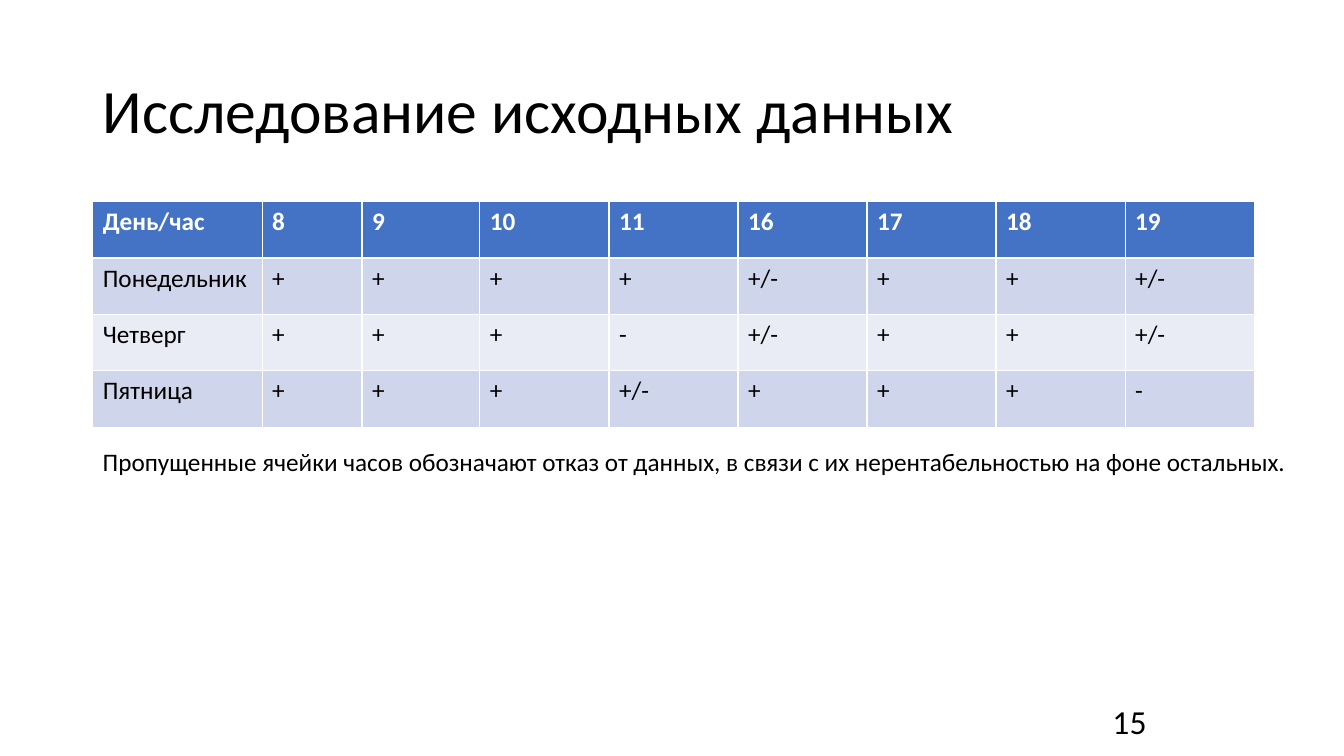
from dataclasses import dataclass

from pptx import Presentation
from pptx.dml.color import RGBColor
from pptx.enum.text import MSO_ANCHOR, PP_ALIGN
from pptx.slide import Slide
from pptx.text.text import TextFrame
from pptx.util import Inches, Pt

LEFT, RIGHT = PP_ALIGN.LEFT, PP_ALIGN.RIGHT
TOP, MIDDLE = MSO_ANCHOR.TOP, MSO_ANCHOR.MIDDLE

SLIDE_WIDTH, SLIDE_HEIGHT = 13.33, 7.5
MARGIN = 0.92
CONTENT_WIDTH = SLIDE_WIDTH - 2 * MARGIN
TITLE_ONLY = 5
FONT = "Calibri"
COLORS = {
    "text": "000000",
    "header_text": "FFFFFF",
    "header": "4472C4",
    "odd_row": "CFD5EA",
    "even_row": "E9EBF5",
}

TABLE_TOP, ROW_HEIGHT = 2, 0.56
HOUR_WIDTH = 1.28
COLUMN_WIDTHS = [1.68, 0.99, 1.17] + [HOUR_WIDTH] * 6


@dataclass(frozen=True)
class Box:
    left: float
    top: float
    width: float
    height: float

    def emu(self) -> tuple[int, ...]:
        return tuple(Inches(n) for n in (self.left, self.top, self.width, self.height))


@dataclass(frozen=True)
class ScheduleRow:
    day: str
    marks: str
    fill: str
    color: str = "text"
    bold: bool = False

    def cells(self) -> list[str]:
        return [self.day, *self.marks.split()]


SCHEDULE = [
    ScheduleRow("День/час", "8 9 10 11 16 17 18 19", "header", "header_text", True),
    ScheduleRow("Понедельник", "+ + + + +/- + + +/-", "odd_row"),
    ScheduleRow("Четверг", "+ + + - +/- + + +/-", "even_row"),
    ScheduleRow("Пятница", "+ + + +/- + + + -", "odd_row"),
]


def rgb(color: str) -> RGBColor:
    return RGBColor.from_string(COLORS[color])


def write_text(frame: TextFrame, text: str, *, size: float = 18, color: str = "text",
               bold: bool = False, align: PP_ALIGN = LEFT, anchor: MSO_ANCHOR = TOP,
               line_spacing: float = 1.0) -> None:
    frame.word_wrap = True
    frame.vertical_anchor = anchor
    paragraph = frame.paragraphs[0]
    paragraph.alignment = align
    paragraph.line_spacing = line_spacing
    run = paragraph.add_run()
    run.text = text
    run.font.name = FONT
    run.font.size = Pt(size)
    run.font.bold = bold
    run.font.color.rgb = rgb(color)


def add_title(slide: Slide, text: str, box: Box) -> None:
    title = slide.shapes.title
    title.left, title.top, title.width, title.height = box.emu()
    write_text(title.text_frame, text, size=44, anchor=MIDDLE, line_spacing=0.9)


def add_label(slide: Slide, text: str, box: Box, **text_format) -> None:
    label = slide.shapes.add_textbox(*box.emu())
    write_text(label.text_frame, text, **text_format)


def add_schedule(slide: Slide, rows: list[ScheduleRow]) -> None:
    box = Box(MARGIN, TABLE_TOP, sum(COLUMN_WIDTHS), ROW_HEIGHT * len(rows))
    table = slide.shapes.add_table(len(rows), len(COLUMN_WIDTHS), *box.emu()).table
    for column, width in zip(table.columns, COLUMN_WIDTHS):
        column.width = Inches(width)
    for table_row, row in zip(table.rows, rows):
        table_row.height = Inches(ROW_HEIGHT)
        for cell, text in zip(table_row.cells, row.cells()):
            cell.fill.solid()
            cell.fill.fore_color.rgb = rgb(row.fill)
            write_text(cell.text_frame, text, color=row.color, bold=row.bold)


def main() -> None:
    presentation = Presentation()
    presentation.slide_width = Inches(SLIDE_WIDTH)
    presentation.slide_height = Inches(SLIDE_HEIGHT)
    slide = presentation.slides.add_slide(presentation.slide_layouts[TITLE_ONLY])

    add_title(slide, "Исследование исходных данных", Box(MARGIN, 0.4, CONTENT_WIDTH, 1.45))
    add_schedule(slide, SCHEDULE)
    add_label(
        slide,
        "Пропущенные ячейки часов обозначают отказ от данных, "
        "в связи с их нерентабельностью на фоне остальных.",
        Box(MARGIN, 4.38, 12.01, 0.4),
    )
    add_label(slide, "15", Box(10.83, 6.95, 0.64, 0.4), size=24, align=RIGHT, anchor=MIDDLE)

    presentation.save("out.pptx")


if __name__ == "__main__":
    main()
